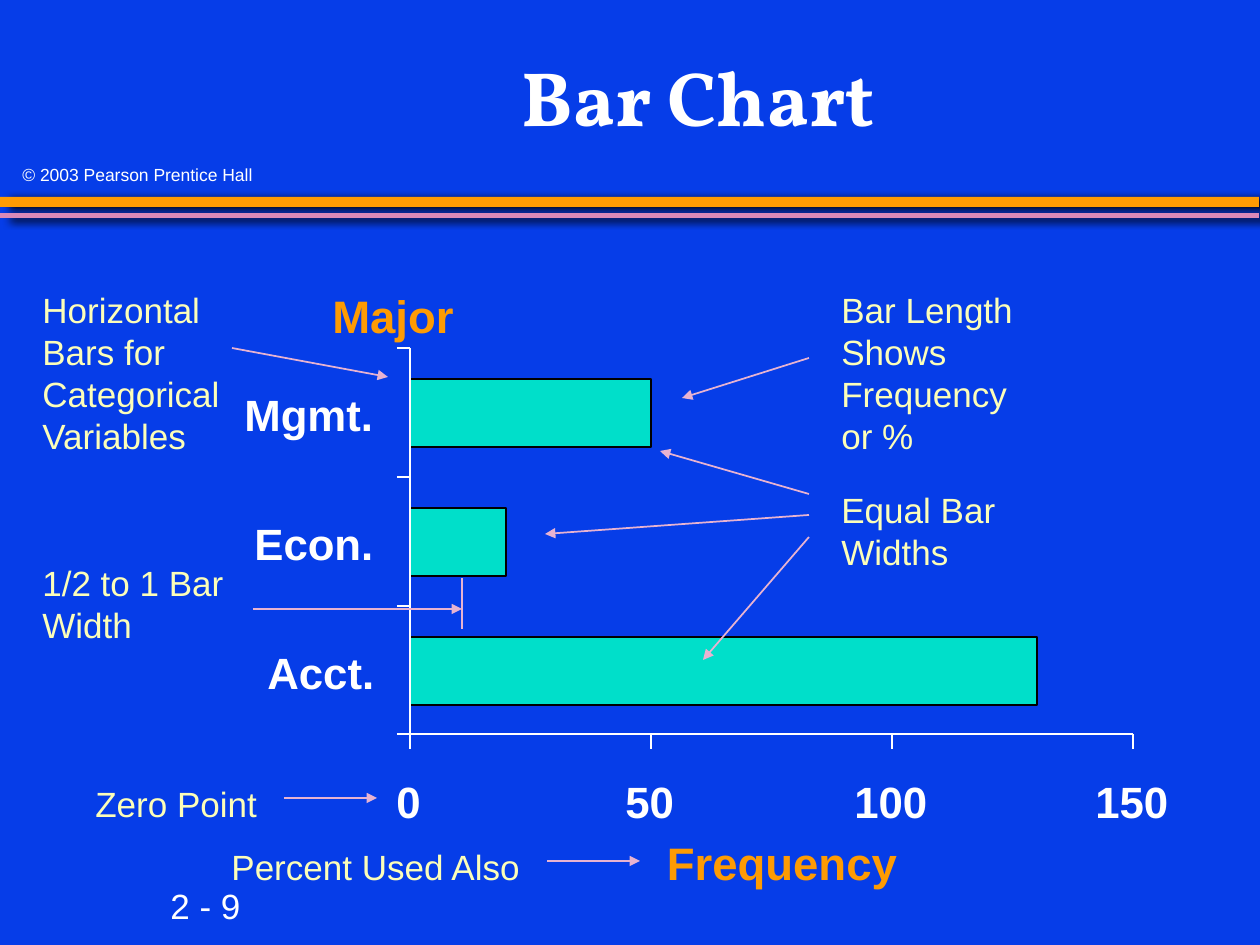
from lxml import etree
from pptx import Presentation
from pptx.dml.color import RGBColor
from pptx.enum.shapes import MSO_CONNECTOR, MSO_SHAPE
from pptx.enum.text import MSO_ANCHOR, MSO_AUTO_SIZE, PP_ALIGN
from pptx.oxml.ns import qn
from pptx.util import Emu, Pt

RECT = MSO_SHAPE.RECTANGLE
LINE = MSO_CONNECTOR.STRAIGHT
GROW = MSO_AUTO_SIZE.SHAPE_TO_FIT_TEXT
FIXED = MSO_AUTO_SIZE.NONE
MIDDLE = MSO_ANCHOR.MIDDLE
LEFT = PP_ALIGN.LEFT
CENTER = PP_ALIGN.CENTER

SCALE = 914400 / 126
WHITE, ORANGE, PINK = "FFFFFF", "FE9B03", "E7B3D1"
BASE = {"name": "Arial", "size": Pt(20), "bold": False}
LABEL = {**BASE, "size": Pt(25), "bold": True}
HEAD = {**BASE, "size": Pt(26), "bold": True}
SMALL = {**BASE, "size": Pt(10)}
TITLE = {"name": "Vollkorn", "size": Pt(44), "bold": True}

LEFT_X, TOP_Y, BASE_Y = 410, 348, 734
STEP, PITCH, UNIT = 50, 129, 241
BAR_TOP, BAR_H = 379, 68
BARS = [("Mgmt.", 50, 232, 156), ("Econ.", 20, 242, 146),
        ("Acct.", 130, 255, 134)]
TICKS = [("0", 384, 50), ("50", 613, 75), ("100", 842, 100),
         ("150", 1083, 100)]
NOTES = [
    ("Horizontal Bars for Categorical Variables", 30, 282, 212, 181),
    ("Bar Length Shows Frequency or %", 829, 282, 212, 181),
    ("1/2 to 1 Bar Width", 30, 555, 212, 98),
    ("Equal Bar Widths", 829, 482, 212, 98),
    ("Zero Point", 83, 776, 212, 55),
    ("Percent Used Also", 219, 839, 348, 55),
]
ARROWS = [
    (232, 348, 388, 377), (253, 609, 462, 609), (809, 358, 682, 398),
    (809, 537, 703, 660), (809, 515, 545, 534), (809, 494, 660, 451),
    (284, 798, 377, 798), (547, 861, 640, 861),
]


def px(*nums):
    return [Emu(round(n * SCALE)) for n in nums]


def color(code):
    return RGBColor.from_string(code)


def paint(fill, code):
    fill.solid()
    fill.fore_color.rgb = color(code)


def add_bar(slide, box, code, edge=None):
    bar = slide.shapes.add_shape(RECT, *px(*box))
    bar.shadow.inherit = False
    paint(bar.fill, code)
    if edge:
        bar.line.color.rgb = color(edge)
        bar.line.width = Pt(1)
    else:
        bar.line.fill.background()
    return bar


def add_rule(slide, box, code, angle):
    rule = add_bar(slide, box, code)
    effect = rule._element.spPr.find(qn("a:effectLst"))
    shade = etree.SubElement(effect, qn("a:outerShdw"), blurRad=str(Pt(5)),
                             dist=str(Pt(6)), dir=str(angle * 60000),
                             algn="ctr", rotWithShape="0")
    etree.SubElement(shade, qn("a:srgbClr"), val="000000")


def add_line(slide, ends, code, arrow=False):
    line = slide.shapes.add_connector(LINE, *px(*ends))
    line.line.color.rgb = color(code)
    line.line.width = Pt(1)
    if arrow:
        etree.SubElement(line.line._get_or_add_ln(), qn("a:tailEnd"),
                         type="triangle")
    etree.SubElement(line._element.spPr, qn("a:effectLst"))


def add_text(slide, text, box, style, code, align=LEFT, wrap=False):
    frame = slide.shapes.add_textbox(*px(*box)).text_frame
    frame.word_wrap = wrap
    frame.auto_size = GROW
    para = frame.paragraphs[0]
    para.alignment = align
    run = para.add_run()
    run.text = text
    for key, value in style.items():
        setattr(run.font, key, value)
    run.font.color.rgb = color(code)
    return frame


def add_frame(slide):
    add_rule(slide, (0, 197, 1259, 10), ORANGE, 9)
    add_rule(slide, (0, 213, 1259, 5), "D989B8", 18)
    add_text(slide, "2 - 9", (158, 878, 116, 55), BASE, WHITE)
    add_text(slide, "© 2003 Pearson Prentice Hall", (10, 158, 275, 33),
             SMALL, WHITE)
    title = add_text(slide, "Bar Chart", (231, 21, 935, 158), TITLE, WHITE,
                     CENTER, True)
    title.auto_size = FIXED
    title.vertical_anchor = MIDDLE
    title.paragraphs[0].line_spacing = 0.95


def add_plot(slide):
    for i, (name, value, x, wide) in enumerate(BARS):
        y = BAR_TOP + i * PITCH
        long = round(value * UNIT / STEP)
        add_bar(slide, (LEFT_X, y, long, BAR_H), "00DFCA", "000000")
        add_text(slide, name, (x, y + 3, wide, 67), LABEL, WHITE)
    right = LEFT_X + UNIT * (len(TICKS) - 1)
    add_line(slide, (LEFT_X, BASE_Y, right, BASE_Y), WHITE)
    add_line(slide, (LEFT_X, TOP_Y, LEFT_X, BASE_Y), WHITE)
    for i, (name, x, wide) in enumerate(TICKS):
        tick = LEFT_X + i * UNIT
        add_line(slide, (tick, BASE_Y, tick, BASE_Y + 15), WHITE)
        add_text(slide, name, (x, 769, wide, 67), LABEL, WHITE)
    for i in range(len(BARS) + 1):
        y = min(TOP_Y + i * PITCH, BASE_Y)
        add_line(slide, (LEFT_X - 13, y, LEFT_X, y), WHITE)
    for name, x, y in [("Major", 219, 282), ("Frequency", 608, 829)]:
        add_text(slide, name, (x, y, 348, 69), HEAD, ORANGE, CENTER, True)


def add_notes(slide):
    for text, *box in NOTES:
        add_text(slide, text, box, BASE, "FCFEB9", wrap=True)
    for ends in ARROWS:
        add_line(slide, ends, PINK, True)
    add_line(slide, (462, 578, 462, 629), PINK)


def main():
    deck = Presentation()
    deck.slide_width, deck.slide_height = px(1260, 945)
    slide = deck.slides.add_slide(deck.slide_layouts[6])
    paint(slide.background.fill, "063DE8")
    add_frame(slide)
    add_plot(slide)
    add_notes(slide)
    deck.save("out.pptx")


if __name__ == "__main__":
    main()
